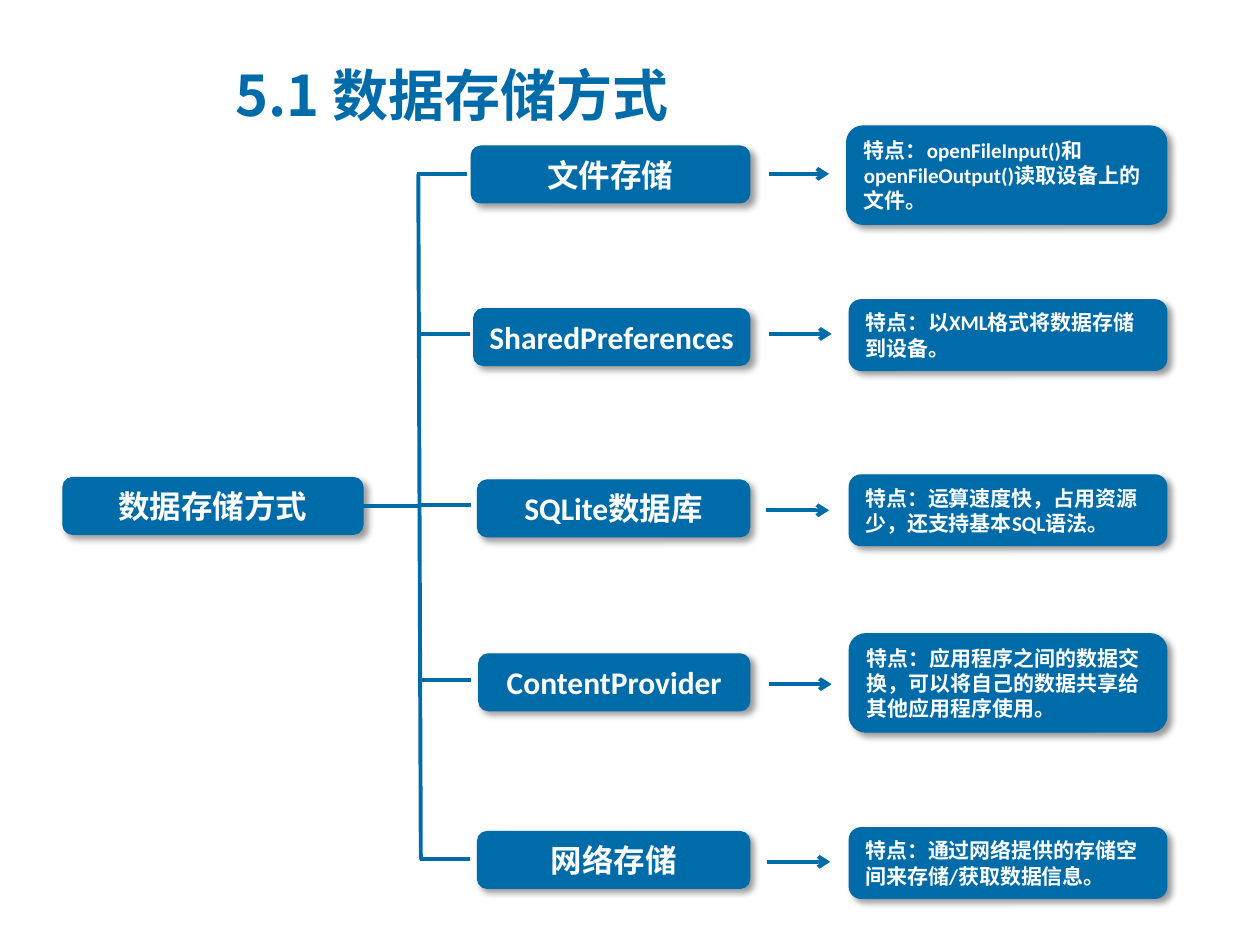
from dataclasses import dataclass

from lxml.etree import SubElement
from pptx import Presentation
from pptx.dml.color import RGBColor
from pptx.enum.shapes import MSO_CONNECTOR, MSO_SHAPE
from pptx.enum.text import MSO_ANCHOR, MSO_AUTO_SIZE, PP_ALIGN
from pptx.oxml.ns import qn
from pptx.util import Inches, Pt

COLUMNS, ROWS = 100, 75
TITLE_ONLY = 5


@dataclass(frozen=True)
class Theme:
    blue: RGBColor = RGBColor(0x00, 0x6B, 0xA9)
    white: RGBColor = RGBColor(0xFF, 0xFF, 0xFF)
    shadow: str = "000000"
    latin: str = "Calibri"
    chinese: str = "Noto Sans CJK SC"
    title_size: int = 32
    label_size: int = 18
    detail_size: int = 12
    outline: float = 0.75
    stroke: float = 2.25


def write_text(frame, text, *, size, color, font, east_asian, align=PP_ALIGN.LEFT,
               auto_size=MSO_AUTO_SIZE.NONE):
    frame.word_wrap = True
    frame.auto_size = auto_size
    frame.vertical_anchor = MSO_ANCHOR.MIDDLE
    paragraph = frame.paragraphs[0]
    paragraph.alignment = align
    run = paragraph.add_run()
    run.text = text
    run.font.size, run.font.bold, run.font.name = Pt(size), True, font
    run.font.color.rgb = color
    SubElement(run.font._element, qn("a:ea"), typeface=east_asian)


class Diagram:
    """Places elements on one slide, measured in grid columns and rows."""

    def __init__(self, deck, theme):
        self.theme = theme
        self.slide = deck.slides.add_slide(deck.slide_layouts[TITLE_ONLY])
        self.column = deck.slide_width / COLUMNS
        self.row = deck.slide_height / ROWS

    def place(self, column, row):
        return round(column * self.column), round(row * self.row)

    def title(self, text, left, top, width, height):
        heading = self.slide.shapes.title
        heading.left, heading.top = self.place(left, top)
        heading.width, heading.height = self.place(width, height)
        write_text(heading.text_frame, text, size=self.theme.title_size,
                   color=self.theme.blue, font=self.theme.chinese,
                   east_asian=self.theme.chinese)

    def box(self, text, left, top, width, height, size, align):
        card = self.slide.shapes.add_shape(
            MSO_SHAPE.ROUNDED_RECTANGLE, *self.place(left, top), *self.place(width, height))
        card.fill.solid()
        card.fill.fore_color.rgb = self.theme.blue
        card.line.color.rgb = self.theme.blue
        card.line.width = Pt(self.theme.outline)
        self.drop_shadow(card)
        write_text(card.text_frame, text, size=size, color=self.theme.white,
                   font=self.theme.latin, east_asian=self.theme.chinese, align=align,
                   auto_size=MSO_AUTO_SIZE.SHAPE_TO_FIT_TEXT)
        return card

    def label(self, text, left, top, width, height=4.5):
        return self.box(text, left, top, width, height,
                        self.theme.label_size, PP_ALIGN.CENTER)

    def detail(self, text, left, top, width, height):
        return self.box(text, left, top, width, height,
                        self.theme.detail_size, PP_ALIGN.LEFT)

    def drop_shadow(self, card):
        card.shadow.inherit = False
        effects = card._element.spPr.find(qn("a:effectLst"))
        shadow = SubElement(effects, qn("a:outerShdw"), blurRad=str(Pt(4)),
                            dist=str(Pt(3)), dir=str(45 * 60000), algn="tl",
                            rotWithShape="0")
        color = SubElement(shadow, qn("a:srgbClr"), val=self.theme.shadow)
        SubElement(color, qn("a:alpha"), val="40000")

    def line(self, start, end, arrow=False):
        stroke = self.slide.shapes.add_connector(
            MSO_CONNECTOR.STRAIGHT, *self.place(*start), *self.place(*end))
        stroke.line.color.rgb = self.theme.blue
        stroke.line.width = Pt(self.theme.stroke)
        if arrow:
            SubElement(stroke.line._get_or_add_ln(), qn("a:tailEnd"), type="arrow")
        SubElement(stroke._element.spPr, qn("a:effectLst"))
        return stroke


# Label, its left and top, branch start and row, arrow start, row and length,
# detail, its left, top and height
STORAGE_KINDS = [
    ("文件存储", 37.4, 11.6, 33.1, 13.8, 61, 13.8, 4.8,
     "特点：openFileInput()和openFileOutput()读取设备上的文件。", 67.2, 10, 7.8),
    ("SharedPreferences", 37.6, 24.5, 33.3, 26.5, 61, 26.5, 5,
     "特点：以XML格式将数据存储到设备。", 67.4, 23.8, 5.6),
    ("SQLite数据库", 37.9, 38.1, 33.4, 40.1, 60.8, 40.5, 5,
     "特点：运算速度快，占用资源少，还支持基本SQL语法。", 67.4, 37.7, 5.6),
    ("ContentProvider", 38, 51.9, 33.4, 54, 61, 54.3, 5,
     "特点：应用程序之间的数据交换，可以将自己的数据共享给其他应用程序使用。",
     67.4, 50.3, 7.8),
    ("网络存储", 37.9, 66, 33.3, 68.2, 60.9, 68.4, 5,
     "特点：通过网络提供的存储空间来存储/获取数据信息。", 67.4, 65.7, 5.6),
]
LABEL_RIGHT, DETAIL_RIGHT = 59.5, 92.6
BRANCH_LENGTH = 4


def main():
    deck = Presentation()
    deck.slide_width, deck.slide_height = Inches(10), Inches(7.5)
    diagram = Diagram(deck, Theme())

    diagram.title("5.1 数据存储方式", 17.7, 4.4, 54.1, 6.1)
    root = diagram.label("数据存储方式", 5, 37.9, 23.8)
    diagram.line((33.2, 13.8), (33.4, 68.2))
    stem = diagram.line((28.8, 40.15), (33.2, 40.15))
    stem.begin_connect(root, 3)

    for (kind, kind_left, kind_top, branch_left, branch_row, arrow_left, arrow_row,
         arrow_length, feature, feature_left, feature_top, feature_height) in STORAGE_KINDS:
        diagram.line((branch_left, branch_row), (branch_left + BRANCH_LENGTH, branch_row))
        diagram.label(kind, kind_left, kind_top, LABEL_RIGHT - kind_left)
        diagram.line((arrow_left, arrow_row), (arrow_left + arrow_length, arrow_row),
                     arrow=True)
        diagram.detail(feature, feature_left, feature_top,
                       DETAIL_RIGHT - feature_left, feature_height)

    deck.save("out.pptx")


if __name__ == "__main__":
    main()
